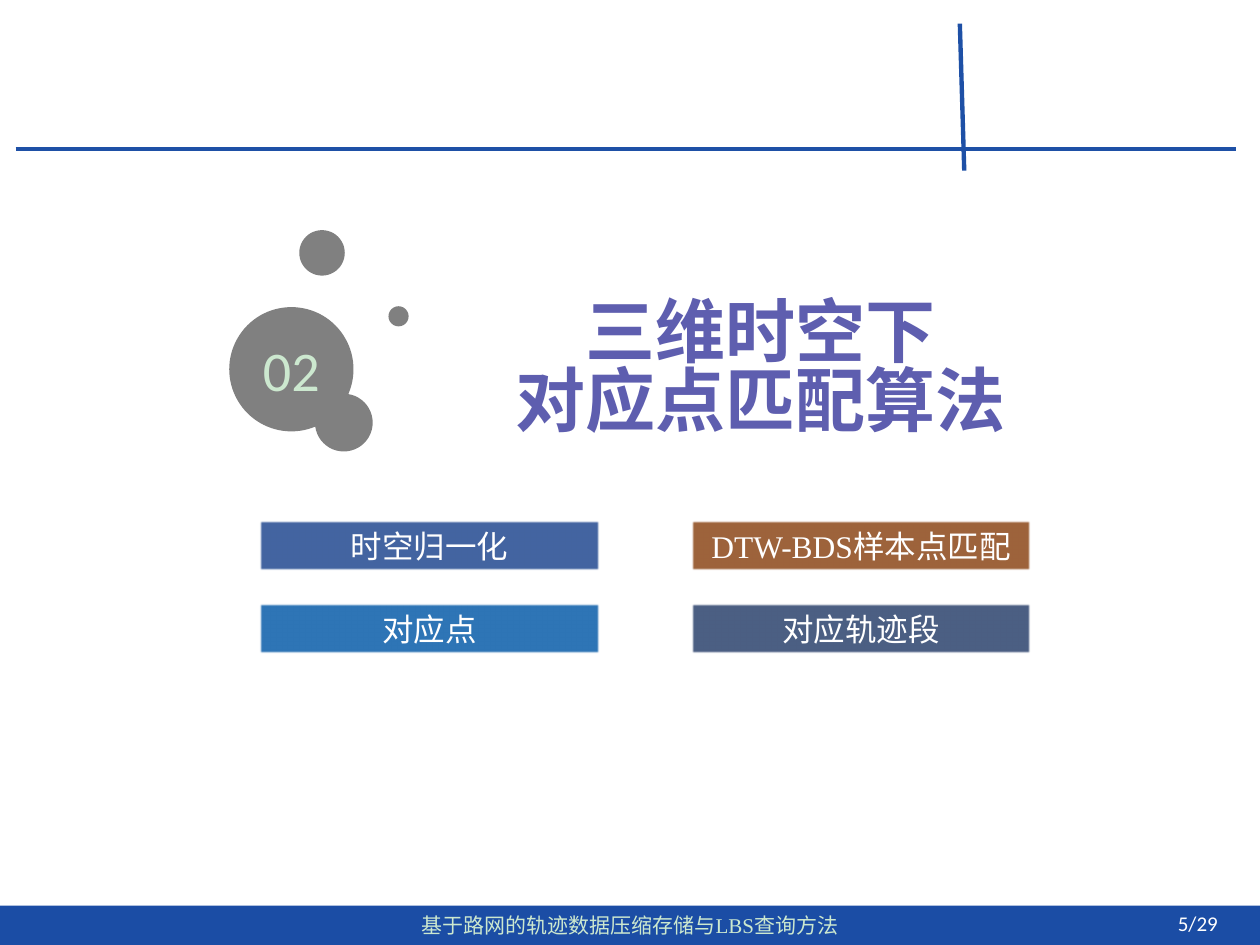
from lxml import etree
from pptx import Presentation
from pptx.dml.color import RGBColor
from pptx.enum.shapes import MSO_CONNECTOR, MSO_SHAPE
from pptx.enum.text import MSO_ANCHOR, PP_ALIGN
from pptx.oxml.ns import qn
from pptx.util import Pt

RECT = MSO_SHAPE.RECTANGLE
CIRCLE = MSO_SHAPE.FLOWCHART_CONNECTOR
LINE = MSO_CONNECTOR.STRAIGHT
MIDDLE = MSO_ANCHOR.MIDDLE
CENTER, RIGHT = PP_ALIGN.CENTER, PP_ALIGN.RIGHT

WHITE = RGBColor(0xFF, 0xFF, 0xFF)
PALE_GREEN = RGBColor(0xCC, 0xE8, 0xCF)
RULE_BLUE = RGBColor(0x1E, 0x50, 0xA6)
BAR_BLUE = RGBColor(0x1B, 0x4D, 0xA5)
TITLE_PURPLE = RGBColor(0x5E, 0x5E, 0xAF)
GRAY = RGBColor(0x80, 0x80, 0x80)
NAVY = RGBColor(0x2F, 0x55, 0x97)
BROWN = RGBColor(0x84, 0x3C, 0x0B)
SKY = RGBColor(0x2E, 0x75, 0xB6)
DARK = RGBColor(0x20, 0x38, 0x64)

CJK, SERIF, SANS = "Noto Sans CJK SC", "Times New Roman", "Calibri"


def write(s, lines, size, font, color, align=CENTER, bold=False, spacing=None):
    tf = s.text_frame
    tf.word_wrap = True
    tf.vertical_anchor = MIDDLE
    tf.margin_top = tf.margin_bottom = 0
    for i, line in enumerate(lines):
        p = tf.paragraphs[0] if i == 0 else tf.add_paragraph()
        p.alignment = align
        if spacing:
            p.line_spacing = spacing
        r = p.add_run()
        r.text = line
        r.font.size = Pt(size)
        r.font.bold = bold
        r.font.name = font
        r.font.color.rgb = color
        ea = etree.Element(qn("a:ea"), typeface=CJK)
        r.font._element.find(qn("a:latin")).addnext(ea)


def add_filled(slide, kind, box, color, opacity=100):
    s = slide.shapes.add_shape(kind, *map(Pt, box))
    s.shadow.inherit = False
    s.fill.solid()
    s.fill.fore_color.rgb = color
    s.line.fill.background()
    if opacity < 100:
        clr = s._element.spPr.find(qn("a:solidFill"))[0]
        etree.SubElement(clr, qn("a:alpha"), val=str(opacity * 1000))
    return s


def add_header(slide, box):
    x, y, w, h = box
    rules = [(x, y + 71.5, x + w, y + 71.5),
             (x + 539.5, y, x + 542, y + h)]
    for ends in rules:
        c = slide.shapes.add_connector(LINE, *map(Pt, ends))
        c.line.color.rgb = RULE_BLUE
        c.line.width = Pt(2.5)
        etree.SubElement(c._element.spPr, qn("a:effectLst"))


def add_footer(slide, box):
    x, y, w, h = box
    bar = add_filled(slide, RECT, box, BAR_BLUE)
    write(bar, ["基于路网的轨迹数据压缩存储与LBS查询方法"], 12, SERIF, PALE_GREEN)
    page = slide.shapes.add_textbox(Pt(x + w - 111), Pt(y - 1.5), Pt(94), Pt(h))
    write(page, ["5/29"], 12, SANS, WHITE, RIGHT)


def add_title(slide, box):
    s = slide.shapes.title
    s.left, s.top, s.width, s.height = map(Pt, box)
    write(s, ["三维时空下", "对应点匹配算法"], 40, CJK, TITLE_PURPLE,
          bold=True, spacing=0.82)


def add_bubbles(slide, box):
    x, y = box[:2]
    big = add_filled(slide, CIRCLE, (x, y + 44, 71, 71), GRAY)
    big.text_frame.margin_left = big.text_frame.margin_right = 0
    write(big, ["02"], 32, SANS, PALE_GREEN)
    for dx, dy, d in [(49, 93.5, 33), (40, 0, 26), (91, 43.5, 11.5)]:
        add_filled(slide, CIRCLE, (x + dx, y + dy, d, d), GRAY)


def add_topics(slide, box):
    x, y, w, h = box
    bw, bh = 194, 28.5
    topics = [("时空归一化", NAVY, 90), ("DTW-BDS样本点匹配", BROWN, 80),
              ("对应点", SKY, 100), ("对应轨迹段", DARK, 80)]
    for i, (label, color, opacity) in enumerate(topics):
        row, col = divmod(i, 2)
        place = (x + col * (w - bw), y + row * (h - bh), bw, bh)
        s = add_filled(slide, RECT, place, color, opacity)
        effects = s._element.spPr.find(qn("a:effectLst"))
        etree.SubElement(effects, qn("a:softEdge"), rad=str(Pt(1)))
        s.text_frame.margin_left = s.text_frame.margin_right = Pt(5)
        write(s, [label], 18, SERIF, WHITE)


def main():
    prs = Presentation()
    prs.slide_width, prs.slide_height = Pt(720), Pt(540)
    slide = prs.slides.add_slide(prs.slide_layouts[5])
    slide.background.fill.solid()
    slide.background.fill.fore_color.rgb = WHITE
    add_header(slide, (9, 13.5, 697.5, 84))
    add_footer(slide, (0, 517.5, 720, 22.5))
    add_title(slide, (195, 150, 479, 124))
    add_bubbles(slide, (131, 131.5, 103, 127))
    add_topics(slide, (148.5, 297.5, 440.5, 76))
    prs.save("out.pptx")


if __name__ == "__main__":
    main()
